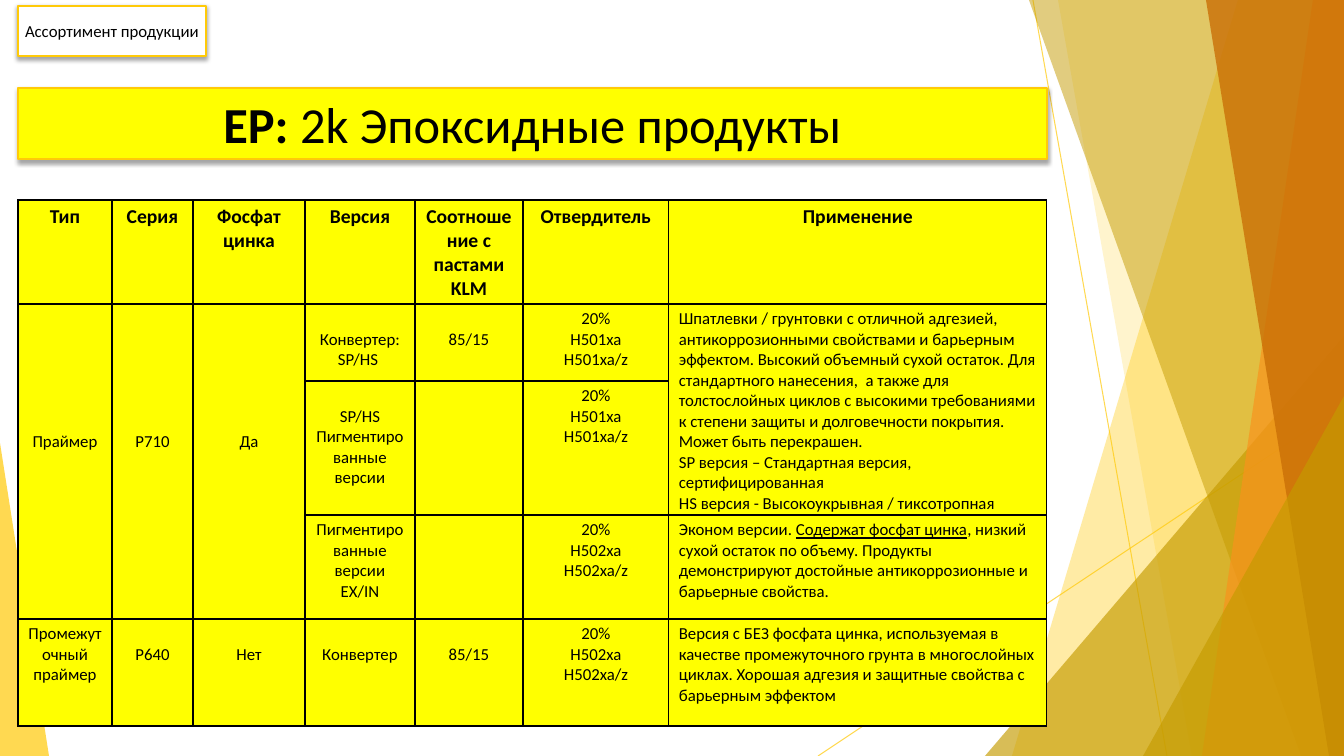
from lxml import etree
from pptx import Presentation, util as u
from pptx.dml.color import RGBColor
from pptx.enum import shapes, text
from pptx.oxml import ns

PX = 914400 / 100.8
WIDTH, HEIGHT = 1344, 756
FONT = "Calibri"
COLORS = {"yellow": "FFFF00", "gold": "FFCA08", "olive": "C59B00", "orange": "F8931D",
          "rust": "CA6F06", "white": "FFFFFF", "black": "000000"}

RAYS = [((1033, 0), (1167, HEIGHT)), ((WIDTH, 406), (818, HEIGHT))]
FACETS = [
    ("band", (1238, 1012), "gold", 36),
    ("band", (1058, 1192), "gold", 20),
    ("triangle", (985, 336, 359, 420, 1), "olive", 66),
    ("band", (1029, 1301), "olive", 50),
    ("band", (1313, 1202), "orange", 70),
    ("band", (1206, 1329), "rust", 80),
    ("triangle", (1143, 396, 201, 360, 1), "olive", 66),
    ("triangle", (0, 443, 49, 313, 0), "gold", 70),
]

BANNERS = [
    ((18, 88, 1029, 71), "yellow", 36, [("EP: ", True), ("2k Эпоксидные продукты", False)]),
    ((18, 6, 188, 50), "white", 12, [("Ассортимент продукции", False)]),
]

TABLE_AT = (18, 200)
COLUMNS = [94, 81, 112, 110, 108, 146, 378]
ROWS = [104, 77, 134, 104, 107]
HEADINGS = ["Тип", "Серия", "Фосфат цинка", "Версия", "Соотношение с пастами KLM",
            "Отвердитель", "Применение"]
FIRST_HARDENER = ["20%", "H501xa", "H501xa/z"]
SECOND_HARDENER = ["20%", "H502xa", "H502xa/z"]
PRIMER_USE = [
    "Шпатлевки / грунтовки с отличной адгезией, антикоррозионными свойствами и барьерным "
    "эффектом. Высокий объемный сухой остаток. Для стандартного нанесения,  а также для "
    "толстослойных циклов с высокими требованиями к степени защиты и долговечности покрытия. "
    "Может быть перекрашен.",
    "SP версия – Стандартная версия, сертифицированная",
    "HS версия - Высокоукрывная / тиксотропная",
]
ECONOMY_USE = [[
    ("Эконом версии. ", False),
    ("Содержат фосфат цинка", True),
    (", низкий сухой остаток по объему. Продукты демонстрируют достойные антикоррозионные "
     "и барьерные свойства.", False),
]]
MIDCOAT_USE = [
    "Версия с БЕЗ фосфата цинка, используемая в качестве промежуточного грунта в многослойных "
    "циклах. Хорошая адгезия и защитные свойства с барьерным эффектом",
]
PRODUCTS = [
    [["Праймер"], ["P710"], ["Да"], ["Конвертер: SP/HS "], ["85/15"], FIRST_HARDENER,
     PRIMER_USE],
    [[], [], [], ["SP/HS", "Пигментированные версии"], [], FIRST_HARDENER, []],
    [[], [], [], ["Пигментированные версии", "EX/IN"], [], SECOND_HARDENER, ECONOMY_USE],
    [["Промежуточный праймер"], ["P640"], ["Нет"], ["Конвертер"], ["85/15"], SECOND_HARDENER,
     MIDCOAT_USE],
]
MERGES = [(1, 0, 3, 0), (1, 1, 3, 1), (1, 2, 3, 2), (1, 6, 2, 6)]
LINES_ABOVE = {(1, 0): 6, (1, 1): 6, (1, 2): 6, (1, 3): 1, (1, 4): 1, (2, 3): 1,
               (4, 1): 1, (4, 2): 1, (4, 3): 1, (4, 4): 1}
LINE_HEIGHT, TOP_MARGIN, BOTTOM_MARGIN = 20.5, 5, 1


def px(value):
    return u.Emu(round(value * PX))


def rgb(name):
    return RGBColor.from_string(COLORS[name])


def add_xml(parent, tag, **attributes):
    child = etree.SubElement(parent, ns.qn(tag))
    for key, value in attributes.items():
        child.set(key, str(value))
    return child


def set_alpha(owner, percent):
    color = owner._element.spPr.find(".//" + ns.qn("a:srgbClr"))
    add_xml(color, "a:alpha", val=percent * 1000)


def add_run(paragraph, words, size, bold=False, underline=False):
    run = paragraph.add_run()
    run.text = words
    run.font.name, run.font.size = FONT, u.Pt(size)
    run.font.bold, run.font.underline = bold, underline
    run.font.color.rgb = rgb("black")


def add_ray(slide, start, end):
    ray = slide.shapes.add_connector(shapes.MSO_CONNECTOR.STRAIGHT,
                                     *[px(v) for v in start + end])
    ray.line.color.rgb, ray.line.width = rgb("gold"), u.Pt(0.75)
    set_alpha(ray, 70)
    add_xml(ray._element.spPr, "a:effectLst")


def add_facet(slide, kind, geometry, color, opacity):
    if kind == "band":
        top, bottom = geometry
        outline = slide.shapes.build_freeform(top, 0, scale=PX)
        outline.add_line_segments([(WIDTH, 0), (WIDTH, HEIGHT), (bottom, HEIGHT)], close=True)
        facet = outline.convert_to_shape()
    else:
        *box, apex = geometry
        facet = slide.shapes.add_shape(shapes.MSO_SHAPE.ISOSCELES_TRIANGLE,
                                       *[px(v) for v in box])
        facet.adjustments[0] = apex
    facet.shadow.inherit = False
    facet.fill.solid()
    facet.fill.fore_color.rgb = rgb(color)
    facet.line.fill.background()
    set_alpha(facet, opacity)


def add_banner(slide, box, color, size, runs):
    banner = slide.shapes.add_shape(shapes.MSO_SHAPE.RECTANGLE, *[px(v) for v in box])
    banner.fill.solid()
    banner.fill.fore_color.rgb = rgb(color)
    banner.line.color.rgb, banner.line.width = rgb("gold"), u.Pt(2)
    banner.shadow.inherit = False
    effects = banner._element.spPr.find(ns.qn("a:effectLst"))
    shadow = add_xml(effects, "a:outerShdw", blurRad=u.Pt(3), dist=u.Pt(1.8),
                     dir=5400000, rotWithShape=0)
    add_xml(add_xml(shadow, "a:srgbClr", val=COLORS["black"]), "a:alpha", val=35000)
    frame = banner.text_frame
    frame.word_wrap = True
    frame.vertical_anchor = text.MSO_ANCHOR.MIDDLE
    frame.margin_left = frame.margin_right = frame.margin_top = frame.margin_bottom = px(5)
    paragraph = frame.paragraphs[0]
    paragraph.alignment = text.PP_ALIGN.CENTER
    for words, bold in runs:
        add_run(paragraph, words, size, bold)


def style_cell(cell, lines_above):
    properties = cell._tc.get_or_add_tcPr()
    for side in ("a:lnL", "a:lnR", "a:lnT", "a:lnB"):
        border = add_xml(properties, side, w=u.Pt(1))
        add_xml(add_xml(border, "a:solidFill"), "a:srgbClr", val=COLORS["black"])
    cell.fill.solid()
    cell.fill.fore_color.rgb = rgb("yellow")
    cell.margin_left = cell.margin_right = px(10)
    cell.margin_top = px(TOP_MARGIN + lines_above * LINE_HEIGHT)
    cell.margin_bottom = px(BOTTOM_MARGIN)


def fill_cell(cell, paragraphs, size, bold, centred):
    frame = cell.text_frame
    for index, content in enumerate(paragraphs):
        paragraph = frame.add_paragraph() if index else frame.paragraphs[0]
        paragraph.alignment = text.PP_ALIGN.CENTER if centred else text.PP_ALIGN.LEFT
        runs = [(content, False)] if isinstance(content, str) else content
        for words, underline in runs:
            add_run(paragraph, words, size, bold, underline)


def add_products(slide):
    box = [px(v) for v in (*TABLE_AT, sum(COLUMNS), sum(ROWS))]
    products = slide.shapes.add_table(len(ROWS), len(COLUMNS), *box).table
    products.first_row = products.horz_banding = False
    for column, width in zip(products.columns, COLUMNS):
        column.width = px(width)
    for row, height in zip(products.rows, ROWS):
        row.height = px(height)
    for top, left, bottom, right in MERGES:
        products.cell(top, left).merge(products.cell(bottom, right))
    for r, entries in enumerate([[[heading] for heading in HEADINGS]] + PRODUCTS):
        header = r == 0
        for c, paragraphs in enumerate(entries):
            cell = products.cell(r, c)
            style_cell(cell, LINES_ABOVE.get((r, c), 0))
            fill_cell(cell, paragraphs, 14 if header else 12, header,
                      header or c < len(COLUMNS) - 1)


def main():
    deck = Presentation()
    deck.slide_width, deck.slide_height = px(WIDTH), px(HEIGHT)
    slide = deck.slides.add_slide(deck.slide_layouts[6])
    for ray in RAYS:
        add_ray(slide, *ray)
    for facet in FACETS:
        add_facet(slide, *facet)
    for banner in BANNERS:
        add_banner(slide, *banner)
    add_products(slide)
    deck.save("out.pptx")


if __name__ == "__main__":
    main()
